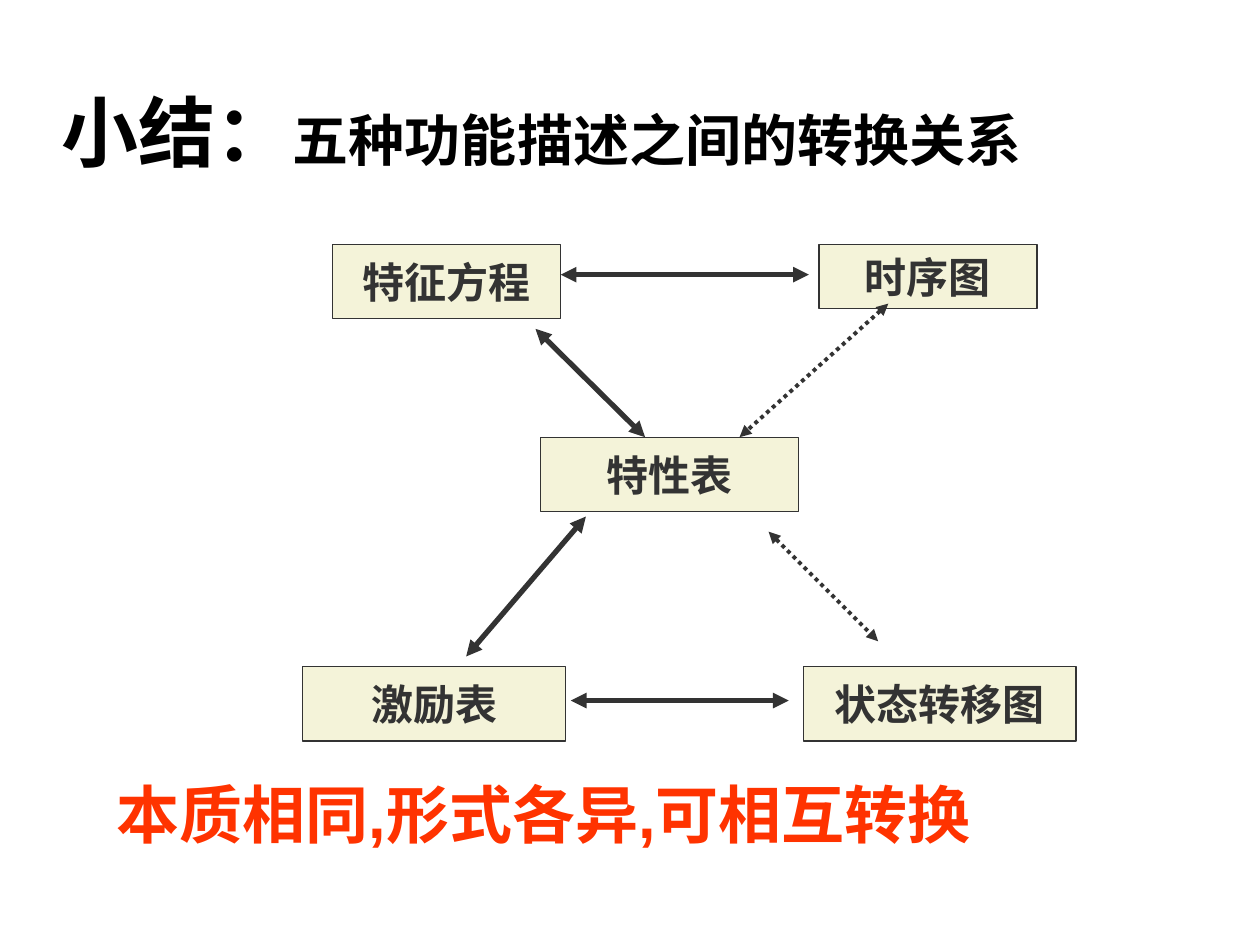
from lxml.etree import SubElement
from pptx import Presentation
from pptx.dml.color import RGBColor as RGB
from pptx.enum.dml import MSO_LINE as Dash
from pptx.enum.shapes import MSO_CONNECTOR as Link, MSO_SHAPE as Shape
from pptx.enum.text import MSO_ANCHOR as Anchor, MSO_AUTO_SIZE as Fit, PP_ALIGN as Align
from pptx.oxml.ns import qn
from pptx.util import Inches, Pt

HUES = {"black": "000000", "ink": "333333", "cream": "F4F3D9",
        "white": "FFFFFF", "red": "FF3300"}


def hue(name):
    return RGB.from_string(HUES[name])


class Deck:
    def __init__(self):
        self.prs = Presentation()
        self.prs.slide_width, self.prs.slide_height = Inches(10), Inches(7.5)
        self.slide = self.prs.slides.add_slide(self.prs.slide_layouts[5])

    def style(self, para, size, face, color, align=Align.LEFT):
        para.alignment = align
        font = para.font
        font.size, font.name, font.bold = Pt(size), face, True
        font.color.rgb = hue(color)

    def title(self, parts, left, top, width, height):
        """Fill the title with (text, size) runs."""
        shape = self.slide.shapes.title
        shape.left, shape.top = Inches(left), Inches(top)
        shape.width, shape.height = Inches(width), Inches(height)
        frame = shape.text_frame
        frame.vertical_anchor, frame.auto_size = Anchor.MIDDLE, Fit.NONE
        para = frame.paragraphs[0]
        self.style(para, parts[0][1], "Arial", "black")
        for text, size in parts:
            run = para.add_run()
            run.text, run.font.size = text, Pt(size)

    def rect(self, left, top, width, height, fill):
        shape = self.slide.shapes.add_shape(
            Shape.RECTANGLE, Inches(left), Inches(top), Inches(width), Inches(height))
        shape.shadow.inherit = False
        shape.fill.solid()
        shape.fill.fore_color.rgb = hue(fill)
        return shape

    def node(self, text, left, top, width, height=0.59):
        shape = self.rect(left, top, width, height, "cream")
        shape.line.color.rgb, shape.line.width = hue("ink"), Pt(0.75)
        frame = shape.text_frame
        frame.text, frame.word_wrap = text, False
        frame.vertical_anchor = Anchor.MIDDLE
        self.style(frame.paragraphs[0], 24, "Times New Roman", "ink", Align.CENTER)

    def banner(self, text, left, top, width, height):
        shape = self.rect(left, top, width, height, "white")
        shape.line.fill.background()
        frame = shape.text_frame
        frame.text, frame.word_wrap = text, True
        frame.vertical_anchor = Anchor.TOP
        self.style(frame.paragraphs[0], 36, "Arial", "red")

    def arrow(self, start, end, dotted=False):
        """Draw a line with a head at both ends."""
        link = self.slide.shapes.add_connector(
            Link.STRAIGHT, *map(Inches, start + end))
        line = link.line
        line.color.rgb, line.width = hue("ink"), Pt(2.25 if dotted else 3)
        if dotted:
            line.dash_style = Dash.ROUND_DOT
        props = link.element.spPr
        for tag in ("a:headEnd", "a:tailEnd"):
            SubElement(props.find(qn("a:ln")), qn(tag), type="triangle")
        SubElement(props, qn("a:effectLst"))


def main():
    deck = Deck()
    deck.title([("小结：", 44), ("五种功能描述之间的转换关系", 32)], 0.39, 0.6, 7.99, 0.87)

    deck.node("特征方程", 2.64, 1.94, 1.81)
    deck.node("特性表", 4.29, 3.47, 2.05)
    deck.node("时序图", 6.5, 1.94, 1.73, 0.51)
    deck.node("激励表", 2.4, 5.29, 2.09)
    deck.node("状态转移图", 6.38, 5.29, 2.16)

    deck.arrow((4.25, 2.61), (5.12, 3.47))
    deck.arrow((6.1, 4.22), (6.97, 5.09), dotted=True)
    deck.arrow((4.65, 4.1), (3.7, 5.21))
    deck.arrow((7.05, 2.41), (5.87, 3.47), dotted=True)
    deck.arrow((4.53, 5.56), (6.26, 5.56))

    deck.banner("本质相同,形式各异,可相互转换", 0.83, 6.11, 7.99, 0.87)
    deck.arrow((4.45, 2.18), (6.42, 2.18))
    deck.prs.save("out.pptx")


if __name__ == "__main__":
    main()
